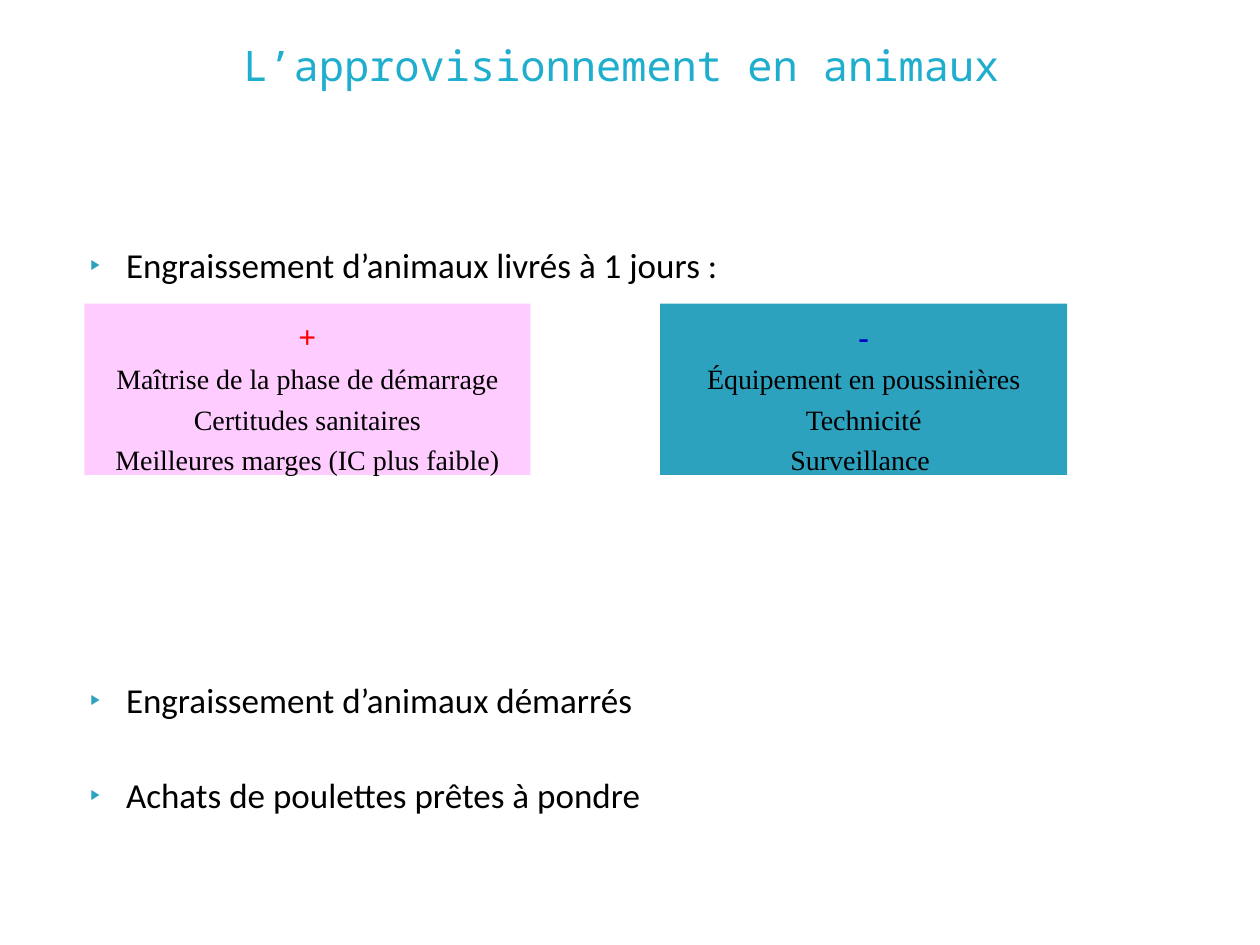
from dataclasses import dataclass

from lxml.etree import SubElement
from pptx import Presentation
from pptx.dml.color import RGBColor
from pptx.enum.shapes import MSO_SHAPE as Preset
from pptx.enum.text import MSO_ANCHOR as Anchor, MSO_AUTO_SIZE as AutoSize, PP_ALIGN as Align
from pptx.oxml.ns import qn
from pptx.util import Inches, Pt

SLIDE_WIDTH, SLIDE_HEIGHT = Inches(10), Inches(7.5)
BLACK = RGBColor(0x00, 0x00, 0x00)
TITLE_BLUE = RGBColor(0x1F, 0xAE, 0xCD)
TEAL = RGBColor(0x2D, 0xA2, 0xBF)
PINK = RGBColor(0xFF, 0xCC, 0xFF)
RED = RGBColor(0xFF, 0x00, 0x00)
NAVY = RGBColor(0x00, 0x00, 0xCC)


@dataclass
class Area:
    left: float
    top: float
    width: float
    height: float

    def lengths(self) -> tuple[int, int, int, int]:
        return (round(self.left * SLIDE_WIDTH), round(self.top * SLIDE_HEIGHT),
                round(self.width * SLIDE_WIDTH), round(self.height * SLIDE_HEIGHT))


@dataclass
class Panel:
    area: Area
    fill: RGBColor
    sign: str
    sign_color: RGBColor
    points: list[str]


@dataclass
class Bullet:
    text: str
    space_before: float


PANEL_TOP, PANEL_HEIGHT = 0.3213, 0.1813
TITLE_AREA = Area(0.043, 0.0173, 0.9, 0.1027)
BODY_AREA = Area(0.05, 0.248, 0.9, 0.628)
PANELS = [
    Panel(Area(0.067, PANEL_TOP, 0.354, PANEL_HEIGHT), PINK, "+", RED,
          ["Maîtrise de la phase de démarrage", "Certitudes sanitaires",
           "Meilleures marges (IC plus faible)"]),
    Panel(Area(0.524, PANEL_TOP, 0.323, PANEL_HEIGHT), TEAL, "-", NAVY,
          ["Équipement en poussinières", "Technicité", "Surveillance "]),
]
BULLETS = [
    Bullet("Engraissement d’animaux livrés à 1 jours :", 0),
    Bullet("Engraissement d’animaux démarrés", 225),
    Bullet("Achats de poulettes prêtes à pondre", 30),
]


def place(shape, area: Area) -> None:
    shape.left, shape.top, shape.width, shape.height = area.lengths()


def format_runs(para, name: str, size: float, color: RGBColor, bold: bool = False) -> None:
    for span in para.runs:
        span.font.name, span.font.size, span.font.bold = name, Pt(size), bold
        span.font.color.rgb = color


def add_bullet(para) -> None:
    props = para._p.get_or_add_pPr()
    props.set("marL", str(Inches(0.4)))
    props.set("indent", str(Inches(-0.28)))
    color = SubElement(props, qn("a:buClr"))
    SubElement(color, qn("a:srgbClr"), val=str(TEAL))
    SubElement(props, qn("a:buSzPct"), val="40000")
    SubElement(props, qn("a:buChar"), char="▶")


def fill_title(title) -> None:
    place(title, TITLE_AREA)
    frame = title.text_frame
    frame.text = "L’approvisionnement en animaux"
    frame.auto_size, frame.vertical_anchor = AutoSize.NONE, Anchor.MIDDLE
    para = frame.paragraphs[0]
    para.alignment = Align.CENTER
    format_runs(para, "Noto Sans Mono", 24, TITLE_BLUE)


def fill_body(body) -> None:
    place(body, BODY_AREA)
    frame = body.text_frame
    frame.text = "\n".join(bullet.text for bullet in BULLETS)
    frame.auto_size, frame.vertical_anchor = AutoSize.NONE, Anchor.TOP
    frame.margin_top = Inches(0.07)
    for para, bullet in zip(frame.paragraphs, BULLETS):
        add_bullet(para)
        para.space_before = Pt(bullet.space_before)
        format_runs(para, "Calibri", 20, BLACK)


def add_panel(page, panel: Panel) -> None:
    box = page.shapes.add_shape(Preset.RECTANGLE, *panel.area.lengths())
    box.shadow.inherit = False
    box.fill.solid()
    box.fill.fore_color.rgb = panel.fill
    box.line.fill.background()
    frame = box.text_frame
    frame.word_wrap, frame.vertical_anchor = True, Anchor.TOP
    frame.margin_top = Inches(0.11)
    frame.text = "\n".join([panel.sign, *panel.points])
    sign, *points = frame.paragraphs
    sign.alignment = Align.CENTER
    format_runs(sign, "Times New Roman", 18, panel.sign_color, True)
    for para in points:
        para.alignment = Align.CENTER
        para.space_before = Pt(3.8)
        format_runs(para, "Times New Roman", 16, BLACK)


def main() -> None:
    deck = Presentation()
    deck.slide_width, deck.slide_height = SLIDE_WIDTH, SLIDE_HEIGHT
    page = deck.slides.add_slide(deck.slide_layouts[1])
    fill_title(page.shapes.title)
    fill_body(page.placeholders[1])
    for panel in PANELS:
        add_panel(page, panel)
    deck.save("out.pptx")


if __name__ == "__main__":
    main()
